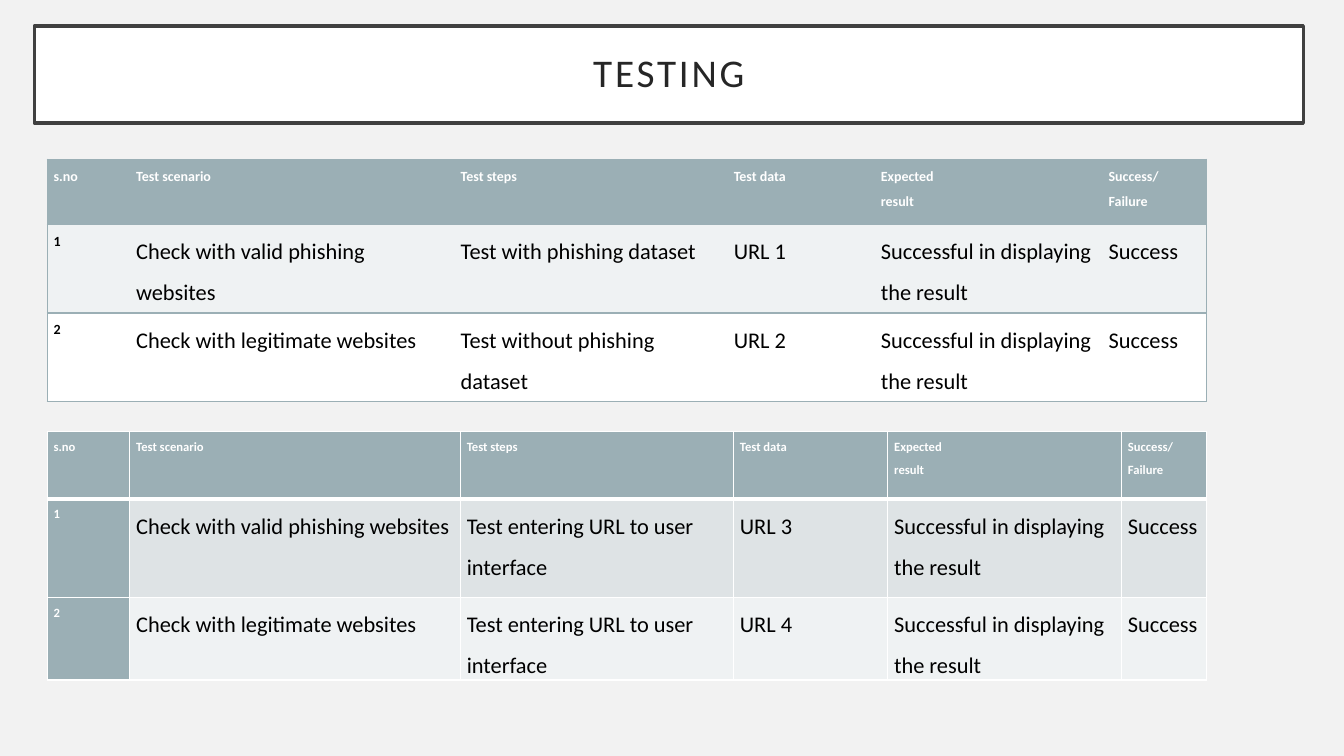
from lxml import etree
from pptx import Presentation
from pptx.dml.color import RGBColor
from pptx.enum.shapes import MSO_SHAPE
from pptx.enum.text import MSO_ANCHOR, PP_ALIGN
from pptx.oxml.ns import qn
from pptx.util import Pt

RECTANGLE = MSO_SHAPE.RECTANGLE
MIDDLE = MSO_ANCHOR.MIDDLE
TOP = MSO_ANCHOR.TOP
LEFT = PP_ALIGN.LEFT
CENTER = PP_ALIGN.CENTER

COLORS = {
    "background": "F2F2F2",
    "white": "FFFFFF",
    "black": "000000",
    "frame": "404040",
    "title": "262626",
    "slate": "9BAFB5",
    "mist": "DEE3E5",
    "pale": "EFF2F3",
}
HEADINGS = ["s.no", "Test scenario", "Test steps", "Test data",
            "Expected\nresult", "Success/ Failure"]
SCENARIOS = ["Check with valid phishing websites", "Check with legitimate websites"]
EXPECTED = "Successful in displaying the result"


def color(name):
    return RGBColor.from_string(COLORS[name])


def write(frame, text, *, font="Calibri", size=16, ink="black", bold=False,
          align=LEFT, spacing=1.5, tracking=0):
    for index, line in enumerate(text.split("\n")):
        para = frame.add_paragraph() if index else frame.paragraphs[0]
        para.alignment = align
        para.line_spacing = spacing
        span = para.add_run()
        span.text = line
        span.font.name = font
        span.font.size = Pt(size)
        span.font.bold = bold
        span.font.color.rgb = color(ink)
        if tracking:
            span.font._element.set("spc", str(tracking * 100))


def set_margins(target, sides, ends):
    target.margin_left = target.margin_right = Pt(sides)
    target.margin_top = target.margin_bottom = Pt(ends)


class SlideBuilder:
    def __init__(self, page, font):
        self.page = page
        self.font = font
        page.background.fill.solid()
        page.background.fill.fore_color.rgb = color("background")

    def title(self, text, left, top, width, height):
        box = self.page.shapes.add_shape(
            RECTANGLE, Pt(left), Pt(top), Pt(width), Pt(height))
        box.shadow.inherit = False
        box.fill.solid()
        box.fill.fore_color.rgb = color("white")
        box.line.color.rgb = color("frame")
        box.line.width = Pt(2.5)
        frame = box.text_frame
        frame.word_wrap = True
        frame.vertical_anchor = MIDDLE
        set_margins(frame, 14.4, 14.4)
        write(frame, text, font=self.font, size=28, ink="title",
              align=CENTER, spacing=0.9, tracking=2)

    def border(self, cell, side, ink, width):
        line = etree.SubElement(cell._tc.get_or_add_tcPr(), qn(f"a:ln{side}"))
        if ink is None:
            line.set("w", "0")
            etree.SubElement(line, qn("a:noFill"))
            return
        line.set("w", str(Pt(width)))
        fill = etree.SubElement(line, qn("a:solidFill"))
        etree.SubElement(fill, qn("a:srgbClr")).set("val", COLORS[ink])

    def table(self, rows, left, top, widths, heights, *, fills, label_size,
              border, grid=False, header_rule=1, label_fill=None, label_ink="black"):
        table = self.page.shapes.add_table(
            len(rows), len(widths), Pt(left), Pt(top),
            Pt(sum(widths)), Pt(sum(heights))).table
        table.horz_banding = False
        for column, width in zip(table.columns, widths):
            column.width = Pt(width)
        for row, height in zip(table.rows, heights):
            row.height = Pt(height)
        last = len(widths) - 1
        for r, values in enumerate(rows):
            for c, text in enumerate(values):
                cell = table.cell(r, c)
                set_margins(cell, 4.5, 0)
                cell.vertical_anchor = TOP
                self.border(cell, "L", border if grid or c == 0 else None, 1)
                self.border(cell, "R", border if grid or c == last else None, 1)
                self.border(cell, "T", border, header_rule if r == 1 else 1)
                self.border(cell, "B", border, header_rule if r == 0 else 1)
                is_label = r == 0 or c == 0
                ink = "white" if r == 0 else label_ink if c == 0 else "black"
                fill = label_fill if label_fill and c == 0 else fills[r]
                cell.fill.solid()
                cell.fill.fore_color.rgb = color(fill)
                write(cell.text_frame, text, font=self.font, ink=ink,
                      bold=is_label, size=label_size if is_label else 16)


def test_rows(steps, first_url):
    rows = [HEADINGS]
    for index, (scenario, step) in enumerate(zip(SCENARIOS, steps)):
        rows.append([str(index + 1), scenario, step,
                     f"URL {first_url + index}", EXPECTED, "Success"])
    return rows


def main():
    deck = Presentation()
    deck.slide_width = Pt(960)
    deck.slide_height = Pt(540)
    builder = SlideBuilder(deck.slides.add_slide(deck.slide_layouts[6]), "Calibri")
    builder.title("TESTING", 24.5, 18.7, 906.5, 69.1)
    builder.table(
        test_rows(["Test with phishing dataset", "Test without phishing dataset"], 1),
        33.8, 113.8, [59, 231.8, 195.1, 105.1, 162.7, 74.2], [46.4, 63.4, 63.4],
        fills=["slate", "pale", "white"], label_size=10, border="slate")
    builder.table(
        test_rows(["Test entering URL to user interface"] * 2, 3),
        33.8, 308.2, [59, 236.2, 195.1, 110.2, 167, 60.5], [48.2, 70.6, 46.8],
        fills=["slate", "mist", "pale"], label_size=9, border="white",
        grid=True, header_rule=3, label_fill="slate", label_ink="white")
    deck.save("out.pptx")


if __name__ == "__main__":
    main()
